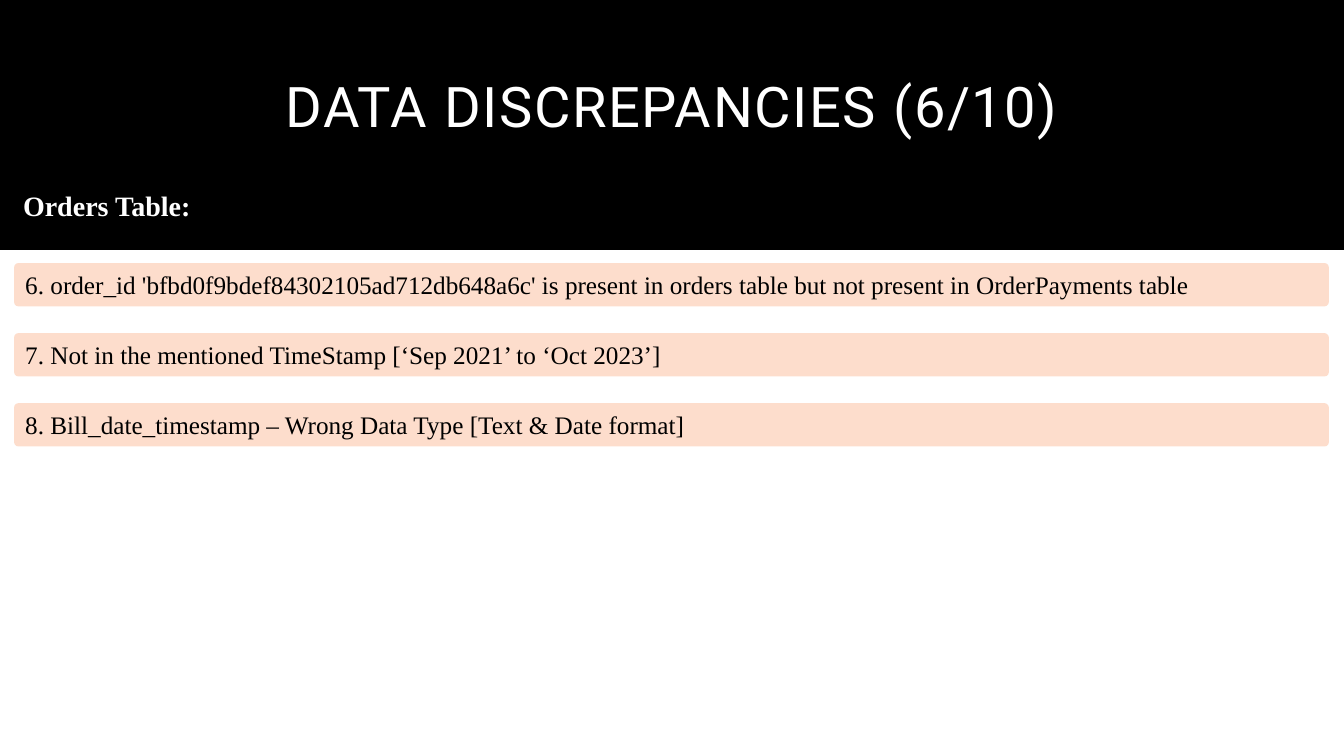
from pptx import Presentation
from pptx.dml.color import RGBColor
from pptx.enum.shapes import MSO_SHAPE
from pptx.enum.text import MSO_ANCHOR, PP_ALIGN
from pptx.util import Inches, Pt

RECTANGLE, ROUNDED = MSO_SHAPE.RECTANGLE, MSO_SHAPE.ROUNDED_RECTANGLE
MIDDLE = MSO_ANCHOR.MIDDLE
LEFT, CENTER = PP_ALIGN.LEFT, PP_ALIGN.CENTER
SERIF = "Times New Roman"


def write(frame, text, color, align, **font_format):
    frame.word_wrap = True
    paragraph = frame.paragraphs[0]
    paragraph.alignment = align
    run = paragraph.add_run()
    run.text = text
    run.font.color.rgb = RGBColor.from_string(color)
    for attribute, value in font_format.items():
        setattr(run.font, attribute, value)
    return run


def add_panel(kind, left, top, width, height, color):
    panel = slide.shapes.add_shape(
        kind, Inches(left), Inches(top), Inches(width), Inches(height))
    panel.shadow.inherit = False
    panel.fill.solid()
    panel.fill.fore_color.rgb = RGBColor.from_string(color)
    panel.line.fill.background()
    return panel


prs = Presentation()
prs.slide_width, prs.slide_height = Inches(13.33), Inches(7.5)
slide = prs.slides.add_slide(prs.slide_layouts[5])

# Header band, placed behind the title
header = add_panel(RECTANGLE, 0, 0, 13.33, 2.48, "000000")
title = slide.shapes.title
header._element.addnext(title._element)

# Title
title_place = {"left": 1.05, "top": 0.35, "width": 11.23, "height": 1.47}
for side, inches in title_place.items():
    setattr(title, side, Inches(inches))
title.text_frame.vertical_anchor = MIDDLE
title_run = write(title.text_frame, "DATA DISCREPANCIES (6/10)", "FFFFFF", CENTER,
                  name="Roboto", size=Pt(40))
title.text_frame.paragraphs[0].line_spacing = 0.9
title_run._r.get_or_add_rPr().set("spc", "120")

# Table heading
heading = slide.shapes.add_textbox(Inches(0.13), Inches(1.82), Inches(7.22), Inches(0.44))
write(heading.text_frame, "Orders Table:", "FFFFFF", LEFT,
      name=SERIF, size=Pt(20), bold=True)

# Discrepancies
discrepancies = [
    "6. order_id 'bfbd0f9bdef84302105ad712db648a6c' is present in orders table "
    "but not present in OrderPayments table",
    "7. Not in the mentioned TimeStamp [‘Sep 2021’ to ‘Oct 2023’]",
    "8. Bill_date_timestamp – Wrong Data Type [Text & Date format]",
]
for row, discrepancy in enumerate(discrepancies):
    bar = add_panel(ROUNDED, 0.14, 2.61 + row * 0.695, 13.04, 0.43, "FDDDCC")
    bar.adjustments[0] = 0.1
    bar.text_frame.vertical_anchor = MIDDLE
    write(bar.text_frame, discrepancy, "000000", LEFT, name=SERIF, size=Pt(18))

prs.save("out.pptx")
